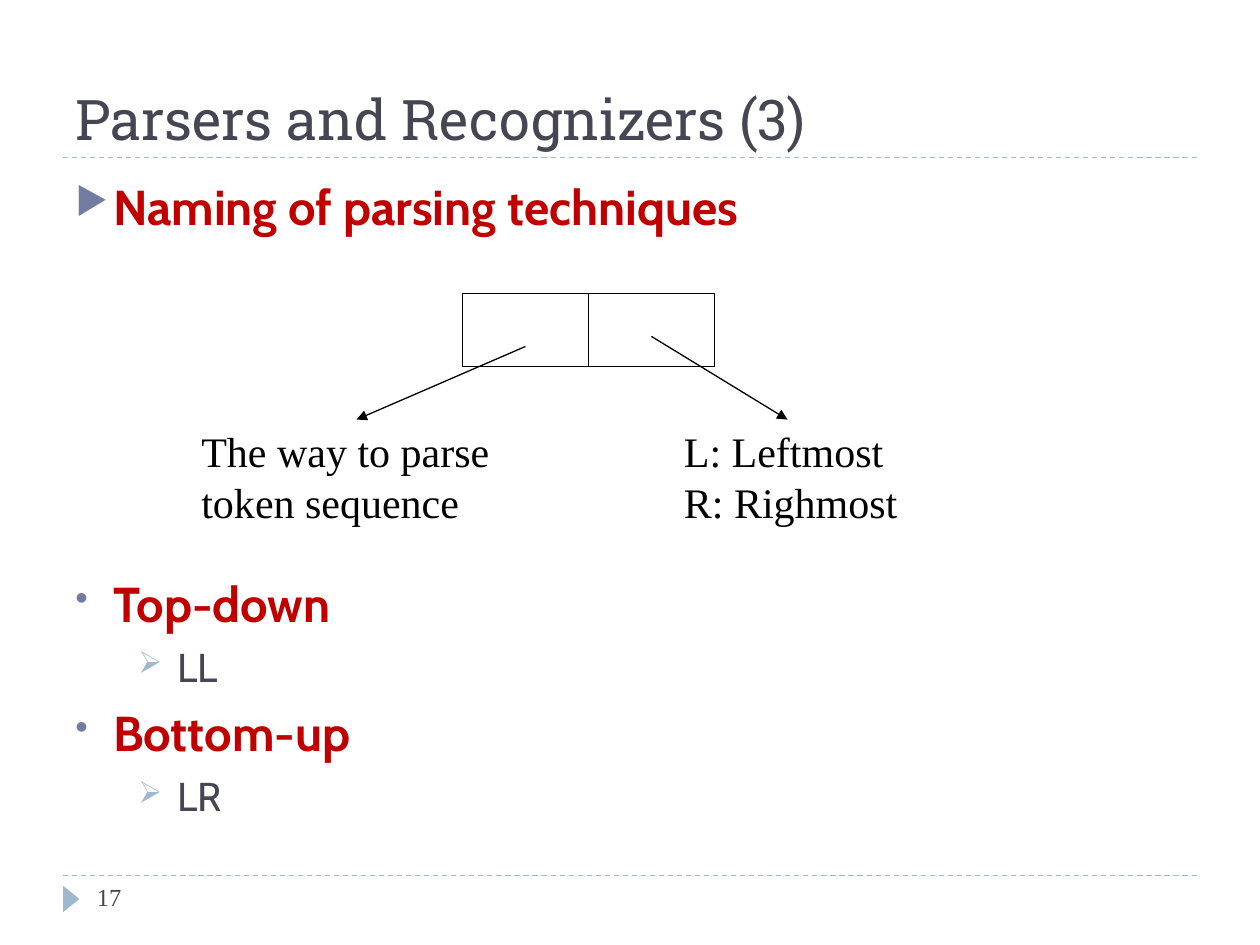
"""Build the slide on how parsing techniques are named."""
from dataclasses import dataclass

from lxml.etree import SubElement
from pptx import Presentation
from pptx.dml.color import RGBColor
from pptx.enum.dml import MSO_LINE_DASH_STYLE as Dash
from pptx.enum.shapes import MSO_CONNECTOR as Connector, MSO_SHAPE as Shape
from pptx.enum.text import MSO_ANCHOR as Anchor
from pptx.oxml.ns import qn
from pptx.util import Inches, Pt


@dataclass(frozen=True)
class Theme:
    heading_font: str = "Roboto Slab"
    body_font: str = "Cabin"
    label_font: str = "Times New Roman"
    ink: str = "464653"
    accent: str = "C00000"
    marker: str = "727CA3"
    pale: str = "9FB8CD"
    black: str = "000000"
    title_size: int = 32
    topic_size: int = 28
    detail_size: int = 23
    label_size: int = 24
    number_size: int = 14
    line_width: float = 0.75


THEME = Theme()
TOPIC = dict(size=THEME.topic_size, color=THEME.accent, bold=True,
             bullet_color=THEME.marker, margin=0.3, indent=-0.3, before=7)
DETAIL = dict(size=THEME.detail_size, color=THEME.ink, bullet="➢",
              bullet_color=THEME.pale, margin=0.81, indent=-0.31, before=5.8, level=1)

WIDTH, HEIGHT = 10, 7.5
EDGE = 0.5
CONTENT = WIDTH - 2 * EDGE
TITLE_RULE, FOOTER_RULE = 1.25, 6.95
CELL_LEFT, CELL_TOP, CELL_WIDTH, CELL_HEIGHT = 3.67, 2.33, 1, 0.58
LABEL_TOP = 3.33

TITLE = "Parsers and Recognizers (3)"
PAGE_NUMBER = "17"
OUTLINE = [
    (1.35, 0.6, [("Naming of parsing techniques", TOPIC | {"bullet": "▶"})]),
    (4.5, 2.23, [
        ("Top-down", TOPIC | {"bullet": "•"}),
        ("LL", DETAIL),
        ("Bottom-up", TOPIC | {"bullet": "•"}),
        ("LR", DETAIL),
    ]),
]
CELL_NOTES = [
    (["The way to parse", "token sequence"], 1.5, 2.57, 2.75, 2.83),
    (["L: Leftmost", "R: Righmost"], 5.33, 1.98, 2.67, 6.25),
]


def rgb(color):
    return RGBColor.from_string(color)


def write(frame, text, *, size, font, color, bold=False, bullet=None,
          bullet_color=None, margin=0, indent=0, before=0, level=0):
    first = not frame.paragraphs[0].runs
    paragraph = frame.paragraphs[0] if first else frame.add_paragraph()
    paragraph.level = level
    paragraph.space_before = Pt(0 if first else before)
    if bullet:
        props = paragraph._p.get_or_add_pPr()
        props.set("marL", str(Inches(margin)))
        props.set("indent", str(Inches(indent)))
        tint = SubElement(props, qn("a:buClr"))
        SubElement(tint, qn("a:srgbClr"), val=bullet_color)
        SubElement(props, qn("a:buSzPct"), val="76000")
        SubElement(props, qn("a:buChar"), char=bullet)
    run = paragraph.add_run()
    run.text = text
    run.font.size = Pt(size)
    run.font.name = font
    run.font.bold = bold
    run.font.color.rgb = rgb(color)


def text_area(slide, left, top, width, height, wrap=True, anchor=Anchor.TOP):
    area = slide.shapes.add_textbox(*map(Inches, (left, top, width, height)))
    area.text_frame.word_wrap = wrap
    area.text_frame.vertical_anchor = anchor
    return area.text_frame


def rule(slide, start, end, color, dashed=False, arrow=False):
    stroke = slide.shapes.add_connector(Connector.STRAIGHT, *map(Inches, start + end))
    stroke.line.color.rgb = rgb(color)
    stroke.line.width = Pt(THEME.line_width)
    if dashed:
        stroke.line.dash_style = Dash.DASH
    if arrow:
        SubElement(stroke.line._get_or_add_ln(), qn("a:tailEnd"), type="triangle")
    SubElement(stroke._element.spPr, qn("a:effectLst"))


def add_frame(slide):
    for y in (FOOTER_RULE, TITLE_RULE):
        rule(slide, (EDGE, y), (WIDTH - EDGE, y), THEME.pale, dashed=True)
    pointer = slide.shapes.add_shape(
        Shape.ISOSCELES_TRIANGLE, *map(Inches, (0.46, 7.07, 0.21, 0.13)))
    pointer.rotation = 90
    pointer.shadow.inherit = False
    pointer.fill.solid()
    pointer.fill.fore_color.rgb = rgb(THEME.pale)
    pointer.line.fill.background()

    heading = text_area(slide, EDGE, 0.17, CONTENT, TITLE_RULE - 0.17, anchor=Anchor.BOTTOM)
    write(heading, TITLE, size=THEME.title_size, font=THEME.heading_font, color=THEME.ink)
    number = text_area(slide, 0.67, FOOTER_RULE, 2.17, 0.4)
    write(number, PAGE_NUMBER, size=THEME.number_size, font=THEME.label_font, color=THEME.ink)


def add_outline(slide):
    for top, height, entries in OUTLINE:
        section = text_area(slide, EDGE, top, CONTENT, height)
        for text, style in entries:
            write(section, text, font=THEME.body_font, **style)


def add_naming_diagram(slide):
    for column, (lines, left, width, arrow_top, arrow_end) in enumerate(CELL_NOTES):
        cell_left = CELL_LEFT + column * CELL_WIDTH
        cell = slide.shapes.add_shape(
            Shape.RECTANGLE, *map(Inches, (cell_left, CELL_TOP, CELL_WIDTH, CELL_HEIGHT)))
        cell.shadow.inherit = False
        cell.fill.background()
        cell.line.color.rgb = rgb(THEME.black)
        cell.line.width = Pt(THEME.line_width)

        label = text_area(slide, left, LABEL_TOP, width, 0.9, wrap=False)
        for line in lines:
            write(label, line, size=THEME.label_size, font=THEME.label_font, color=THEME.black)
        rule(slide, (cell_left + CELL_WIDTH / 2, arrow_top), (arrow_end, LABEL_TOP),
             THEME.black, arrow=True)


def main():
    deck = Presentation()
    deck.slide_width, deck.slide_height = Inches(WIDTH), Inches(HEIGHT)
    slide = deck.slides.add_slide(deck.slide_layouts[6])
    add_frame(slide)
    add_outline(slide)
    add_naming_diagram(slide)
    deck.save("out.pptx")


if __name__ == "__main__":
    main()
